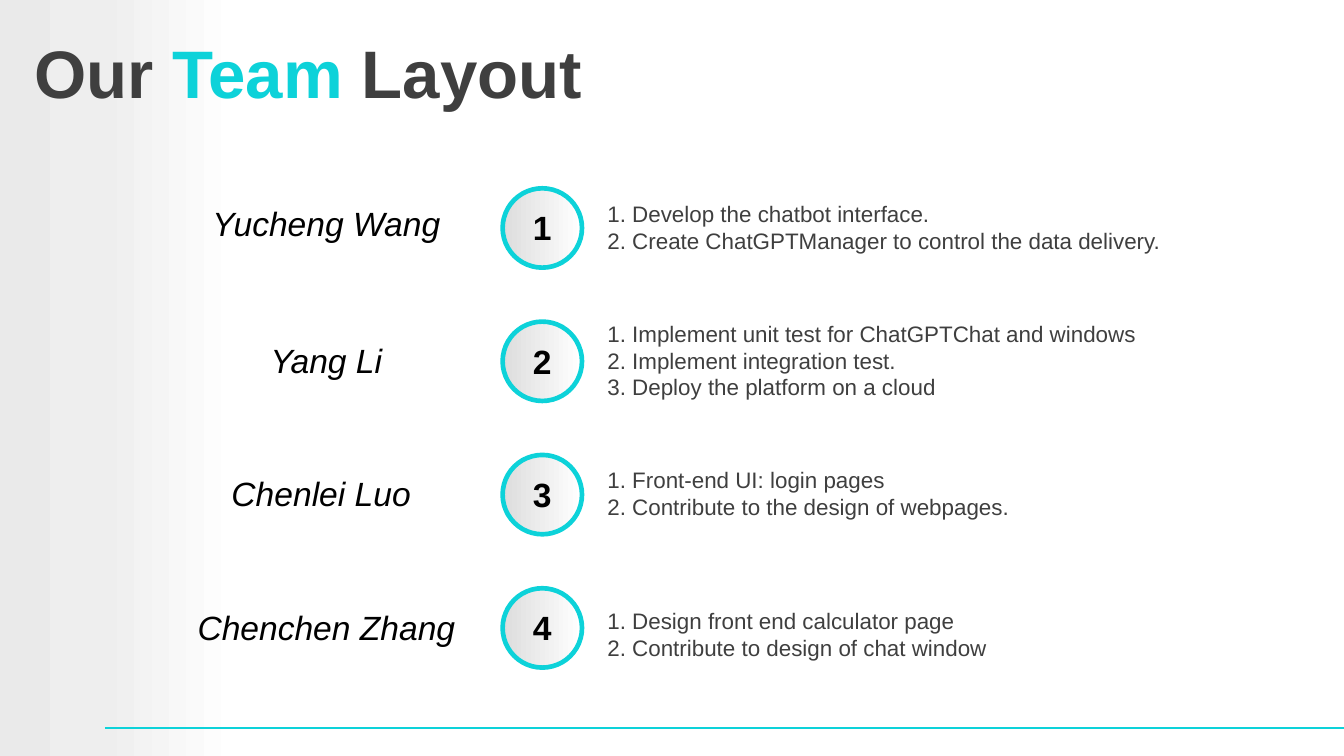
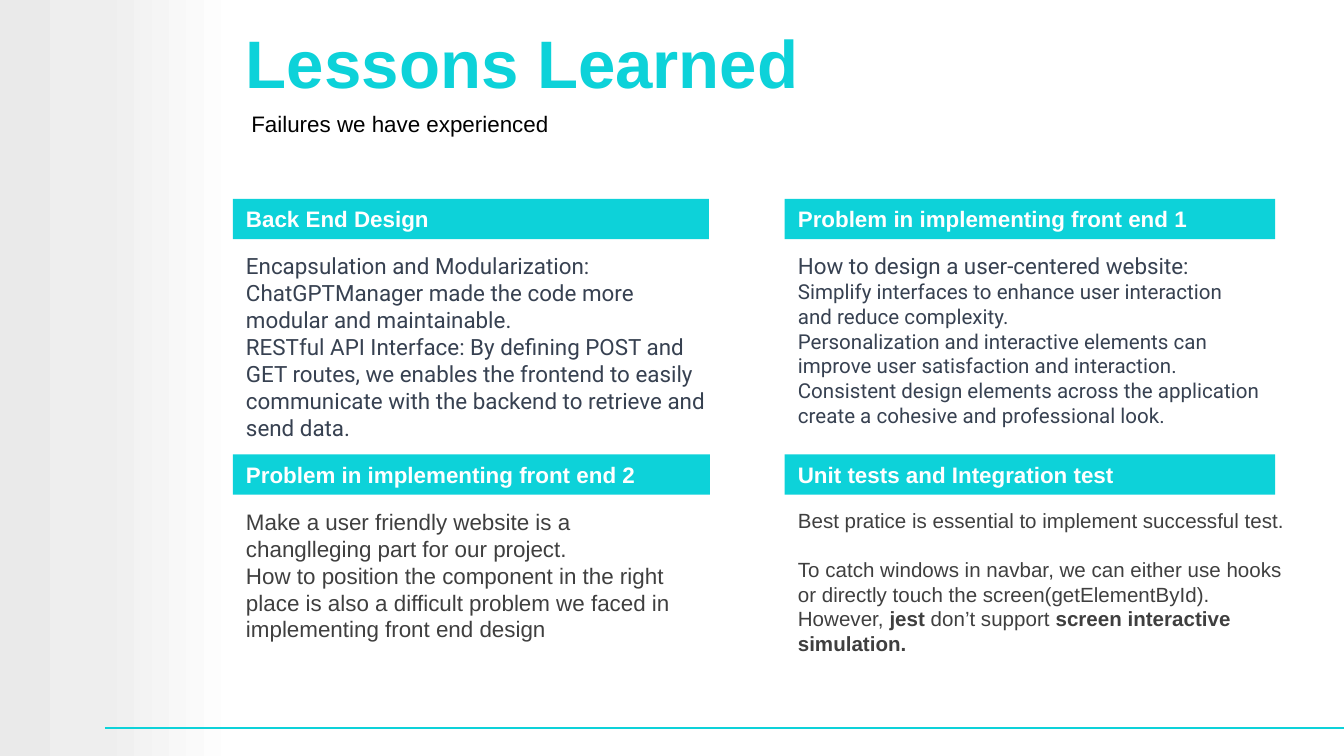
from copy import deepcopy

from lxml import etree
from pptx import Presentation
from pptx.dml.color import RGBColor as RGB
from pptx.enum.shapes import MSO_CONNECTOR as Link, MSO_SHAPE as Form
from pptx.enum.text import MSO_ANCHOR as Anchor, MSO_AUTO_SIZE as Fit, PP_ALIGN as Align
from pptx.oxml.ns import qn
from pptx.util import Cm, Pt

HUES = {
    "cyan": "0DD2D9", "dark": "3F3F3F", "slate": "374151", "black": "000000",
    "white": "FFFFFF", "mist": "EAEAEA", "haze": "EEEEEE", "grey": "DDDDDD",
}
WIDE, HIGH = 25.4, 14.29


def hue(name):
    return RGB.from_string(HUES[name])


class Deck:
    """Holds the style and the current slide."""

    def __init__(self):
        self.prs = Presentation()
        self.prs.slide_width, self.prs.slide_height = Cm(WIDE), Cm(HIGH)
        self.slide = None

    def page(self):
        """Start a slide with the side band and the bottom line."""
        self.slide = self.prs.slides.add_slide(self.prs.slide_layouts[6])
        band = self.shape(Form.RECTANGLE, (0, 0, 4.5, HIGH))
        self.fade(band, "mist", "white")
        stops = band._element.spPr.find(".//" + qn("a:gsLst"))
        mid = deepcopy(stops[0])
        mid.set("pos", "42000")
        mid[0].set("val", HUES["haze"])
        stops.insert(1, mid)
        self.line(1.98, 13.76, WIDE, 13.76)

    def line(self, x1, y1, x2, y2):
        line = self.slide.shapes.add_connector(
            Link.STRAIGHT, Cm(x1), Cm(y1), Cm(x2), Cm(y2))
        line.line.color.rgb = hue("cyan")
        line.line.width = Pt(1)
        etree.SubElement(line._element.spPr, qn("a:effectLst"))

    def shape(self, form, box, fill="white"):
        shape = self.slide.shapes.add_shape(form, *map(Cm, box))
        shape.shadow.inherit = False
        shape.fill.solid()
        shape.fill.fore_color.rgb = hue(fill)
        shape.line.fill.background()
        return shape

    def fade(self, shape, *ends):
        """Left-to-right gradient between two colours."""
        shape.fill.gradient()
        shape.fill.gradient_angle = 0
        for stop, end in zip(shape.fill.gradient_stops, ends):
            stop.color.rgb = hue(end)

    def label(self, shape, paras, size, color="dark", face="Arial", bold=None,
              slant=None, align=Align.LEFT, anchor=Anchor.TOP, fit=Fit.SHAPE_TO_FIT_TEXT):
        """Fill a shape; a paragraph is a string or a list of (text, color, bold)."""
        frame = shape.text_frame
        frame.word_wrap = True
        frame.auto_size = fit
        frame.vertical_anchor = anchor
        for i, para in enumerate(paras):
            par = frame.paragraphs[0] if i == 0 else frame.add_paragraph()
            par.alignment = align
            font = par.font
            font.name, font.size = face, Pt(size)
            font.bold, font.italic = bold, slant
            if isinstance(para, str):
                par.add_run().text = para
                font.color.rgb = hue(color)
                continue
            for words, tint, heavy in para:
                run = par.add_run()
                run.text = words
                run.font.color.rgb = hue(tint)
                run.font.bold = heavy
        return frame

    def text(self, box, paras, size, **style):
        return self.label(self.slide.shapes.add_textbox(*map(Cm, box)), paras, size, **style)

    def title(self, left, top, para):
        self.text((left, top, 21, 2.16), [para], 36, color="cyan", bold=True,
                  anchor=Anchor.MIDDLE, fit=Fit.NONE)

    def badge(self, top, mark):
        ring = self.shape(Form.OVAL, (9.5, top, 1.5, 1.5))
        self.fade(ring, "grey", "white")
        ring.line.color.rgb = hue("cyan")
        ring.line.width = Pt(2.5)
        self.text((9.75, top + 0.23, 1, 1.02), [mark], 18, color="black", bold=True,
                  align=Align.CENTER, anchor=Anchor.MIDDLE)

    def head(self, box, words):
        self.label(self.shape(Form.RECTANGLE, box, "cyan"), [words], 12,
                   color="white", bold=True)


def team(deck):
    deck.page()
    deck.title(0.4, 0.28, [("Our ", "dark", True), ("Team", "cyan", True),
                           (" Layout", "dark", True)])
    # name, its left and top, top and width of the tasks, tasks
    crew = [
        ("Yucheng Wang", 3.25, 3.71, 3.66, 11.76,
         ["1. Develop the chatbot interface.",
          "2. Create ChatGPTManager to control the data delivery."]),
        ("Yang Li", 3.25, 6.3, 5.92, 12.32,
         ["1. Implement unit test for ChatGPTChat and windows",
          "2. Implement integration test.",
          "3. Deploy the platform on a cloud"]),
        ("Chenlei Luo", 3.15, 8.81, 8.69, 11.66,
         ["1. Front-end UI: login pages",
          "2. Contribute to the design of webpages."]),
        ("Chenchen Zhang", 3.25, 11.35, 11.35, 11.66,
         ["1. Design front end calculator page",
          "2. Contribute to design of chat window"]),
    ]
    for i, (name, left, top, start, wide, tasks) in enumerate(crew):
        deck.badge(3.56 + 2.52 * i, str(i + 1))
        deck.text((left, top, 5.84, 1.02), [name], 18, color="black", slant=True,
                  align=Align.CENTER)
        deck.text((11.23, start, wide, 0.25 + 0.51 * len(tasks)), tasks, 12)


def lessons(deck):
    deck.page()
    deck.title(4.4, 0.08, "Lessons Learned")
    deck.text((4.5, 1.96, 20.9, 0.74), ["Failures we have experienced"], 12,
              color="black", fit=Fit.NONE)

    left, right, upper, lower = 4.4, 14.83, 3.76, 8.59
    web = {"face": "Roboto", "color": "slate"}

    def card(x, y, wide, name, size, span, high, paras, **style):
        deck.head((x, y, wide, 0.76), name)
        return deck.text((x, y + 0.89, span, high), paras, size, **style).paragraphs

    # Upper cards
    card(left, upper, 9, "Back End Design", 12, 9.27, 3.86, [
        "Encapsulation and Modularization: ChatGPTManager made the code more modular "
        "and maintainable.",
        "RESTful API Interface: By defining POST and GET routes, we enables the frontend "
        "to easily communicate with the backend to retrieve and send data.",
    ], **web)
    pars = card(right, upper, 9.27, "Problem in implementing front end 1", 11, 9.27, 3.58, [
        "How to design a user-centered website:",
        "Simplify interfaces to enhance user interaction and reduce complexity.",
        "Personalization and interactive elements can improve user satisfaction "
        "and interaction.",
        "Consistent design elements across the application create a cohesive and "
        "professional look.",
    ], **web)
    pars[0].font.size = Pt(12)

    # Lower cards
    card(left, lower, 9.02, "Problem in implementing front end 2", 12, 9.02, 3.33, [
        "Make a user friendly website is a",
        "changlleging part for our project.",
        "How to position the component in the right place is also a difficult problem "
        "we faced in implementing front end design",
    ])
    pars = card(right, lower, 9.27, "Unit tests and Integration test", 11, 9.86, 3.07, [
        "Best pratice is essential to implement successful test.",
        "To catch windows in navbar, we can either use hooks or directly touch the "
        "screen(getElementById).",
        [("However, ", "dark", False), ("jest", "dark", True),
         (" don’t support ", "dark", False),
         ("screen interactive simulation.", "dark", True)],
    ])
    pars[1].space_before = Pt(13)


def main():
    deck = Deck()
    team(deck)
    lessons(deck)
    deck.prs.save("out.pptx")


if __name__ == "__main__":
    main()
